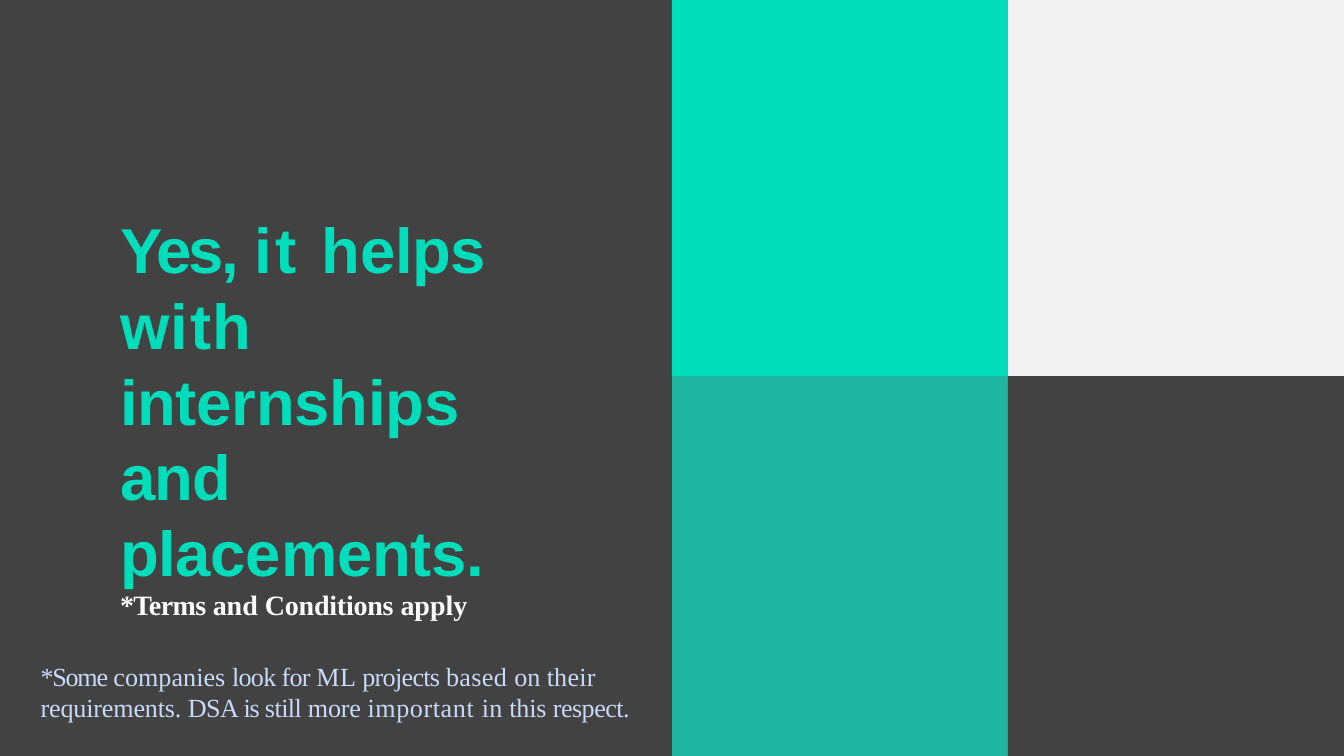
from pptx import Presentation
from pptx.dml.color import RGBColor
from pptx.enum.shapes import MSO_SHAPE as SHAPE
from pptx.enum.text import MSO_AUTO_SIZE as AUTO, PP_ALIGN as ALIGN
from pptx.util import Cm, Pt

WIDTH, HEIGHT = 25.4, 14.29
HALF, QUARTER, SPLIT = WIDTH / 2, WIDTH / 4, 7.11

DARK, MINT, TEAL, LIGHT = "424242", "00DDBA", "1FB6A1", "F2F2F2"

HEADLINE = {
    "font": {"name": "Arial", "size": Pt(34), "bold": True},
    "color": MINT,
    "para": {"line_spacing": Pt(40.5), "space_before": Pt(2.6)},
}
TERMS = {
    "font": {"name": "Times New Roman", "size": Pt(15), "bold": True},
    "color": "FFFFFF",
    "para": {"line_spacing": Pt(17.1)},
}
FOOTNOTE = {
    "font": {"name": "Times New Roman", "size": Pt(14), "bold": False},
    "color": "C8DAF7",
    "para": {"space_before": Pt(1)},
}

HEADLINE_RUNS = [
    ("Yes, ", -1.4), ("it ", 2), ("helps ", -0.2), ("with ", 0.9),
    ("internships ", -0.1), ("and ", -0.4), ("placements.", -0.1),
]
TERMS_RUNS = [("*Terms ", -0.3), ("and ", 0), ("Conditions ", -0.1), ("apply", 0)]
FOOTNOTE_RUNS = [
    ("*Some ", -0.7), ("companies ", 0), ("look for ", -0.4), ("ML ", 0.2),
    ("projects ", -0.4), ("based ", 0.2), ("on ", -0.1), ("their ", 0.1),
    ("requirements. ", -0.1), ("DSA ", -0.3), ("is ", -0.7), ("still ", -0.3),
    ("more ", -0.1), ("important ", 0.3), ("in ", 0.1), ("this ", -0.1),
    ("respect.", -0.3),
]


def rgb(value):
    return RGBColor.from_string(value)


def apply(target, values):
    for name, value in values.items():
        setattr(target, name, value)


class Deck:
    """Holds the presentation, its current slide and the shared style."""

    frame = {
        "margin_left": 0, "margin_right": 0, "margin_bottom": 0,
        "word_wrap": True, "auto_size": AUTO.SHAPE_TO_FIT_TEXT,
    }
    indent = Cm(0.03)

    def __init__(self):
        self.prs = Presentation()
        apply(self.prs, {"slide_width": Cm(WIDTH), "slide_height": Cm(HEIGHT)})
        self.s = self.prs.slides.add_slide(self.prs.slide_layouts[6])

    def panel(self, x, y, w, h, color):
        sp = self.s.shapes.add_shape(SHAPE.RECTANGLE, Cm(x), Cm(y), Cm(w), Cm(h))
        sp.shadow.inherit = False
        sp.fill.solid()
        sp.fill.fore_color.rgb = rgb(color)
        sp.line.fill.background()

    def text(self, x, y, w, h, top, paragraphs):
        tf = self.s.shapes.add_textbox(Cm(x), Cm(y), Cm(w), Cm(h)).text_frame
        apply(tf, {**self.frame, "margin_top": Cm(top)})
        for i, (style, runs) in enumerate(paragraphs):
            p = tf.add_paragraph() if i else tf.paragraphs[0]
            apply(p, {"alignment": ALIGN.LEFT, **style["para"]})
            p._p.get_or_add_pPr().set("marL", str(self.indent))
            for words, spacing in runs:
                self.run(p, words, spacing, style)

    def run(self, p, words, spacing, style):
        r = p.add_run()
        r.text = words
        apply(r.font, style["font"])
        r.font.color.rgb = rgb(style["color"])
        r._r.get_or_add_rPr().set("spc", str(round(spacing * 100)))


def main():
    deck = Deck()
    deck.panel(HALF, 0, HALF, HEIGHT, TEAL)
    deck.panel(0, 0, HALF, HEIGHT, DARK)
    deck.panel(HALF + QUARTER, 0, QUARTER, SPLIT, LIGHT)
    deck.panel(HALF, 0, QUARTER, SPLIT, MINT)
    deck.panel(HALF + QUARTER, SPLIT, QUARTER, HEIGHT - SPLIT, DARK)
    deck.text(2.24, 3.89, 8.86, 6.45, 0.1,
              [(HEADLINE, HEADLINE_RUNS), (TERMS, TERMS_RUNS)])
    deck.text(0.74, 12.45, 11.43, 1.24, 0.03, [(FOOTNOTE, FOOTNOTE_RUNS)])
    deck.prs.save("out.pptx")


if __name__ == "__main__":
    main()
